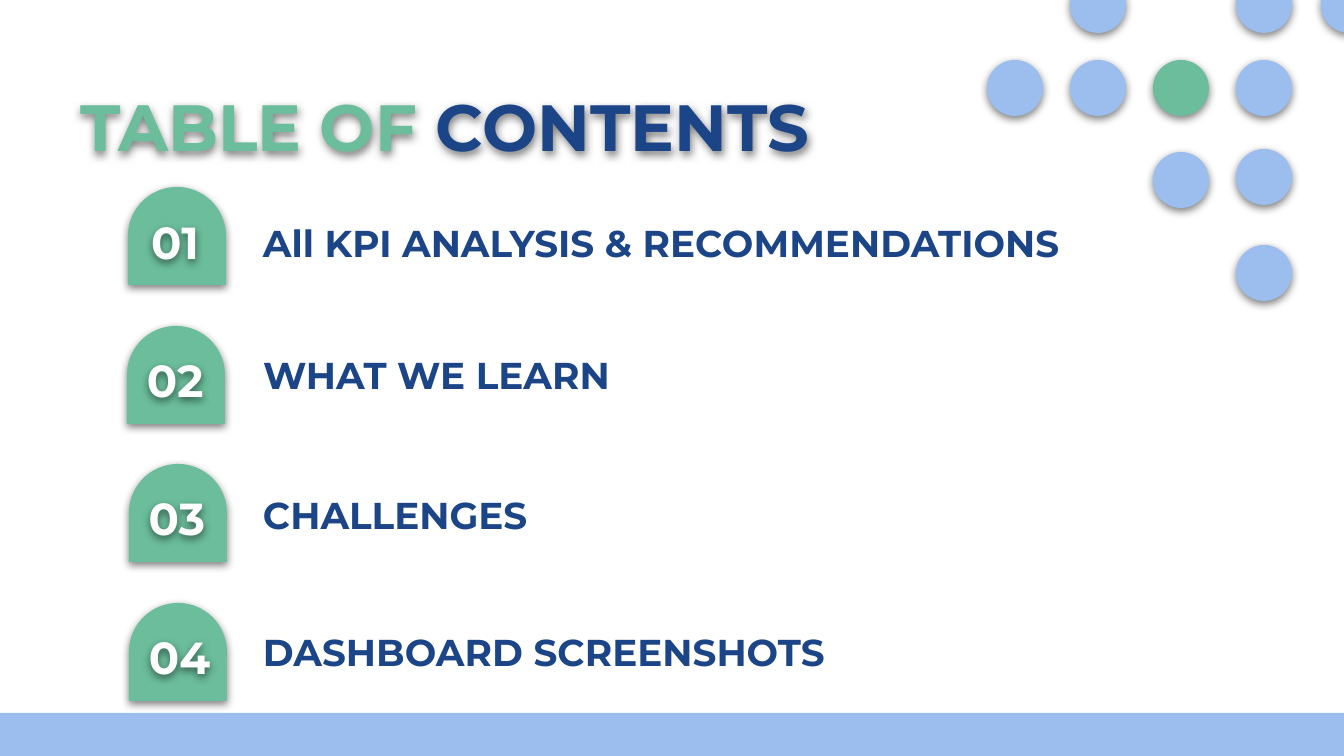
"""Build a table of contents slide with four numbered badges."""
from lxml.etree import SubElement
from pptx import Presentation
from pptx.dml.color import RGBColor
from pptx.enum.shapes import MSO_SHAPE as SHAPE
from pptx.enum.text import MSO_ANCHOR as ANCHOR, MSO_AUTO_SIZE as AUTO, PP_ALIGN as ALIGN
from pptx.oxml.ns import qn
from pptx.util import Pt

PX = 914400 / 134.4
FONT = "Montserrat"
GREEN, BLUE, NAVY, WHITE = "6BBD9B", "9BBEEE", "1C4587", "FFFFFF"


def px(*lengths):
    return [round(n * PX) for n in lengths]


def color(value):
    return RGBColor.from_string(value)


prs = Presentation()
prs.slide_width, prs.slide_height = px(1344, 756)
s = prs.slides.add_slide(prs.slide_layouts[5])
shadowed = []

title = s.shapes.title
title.left, title.top, title.width, title.height = px(67, 73, 804, 85)
shadowed.append(title)
tf = title.text_frame
tf.word_wrap = True
tf.auto_size = AUTO.NONE
tf.vertical_anchor = ANCHOR.TOP
tf.margin_left = tf.margin_right = tf.margin_top = tf.margin_bottom = px(13)[0]
p = tf.paragraphs[0]
p.alignment = ALIGN.LEFT
for text, fill in [("TABLE OF ", GREEN), ("CONTENTS", NAVY)]:
    r = p.add_run()
    r.text = text
    r.font.color.rgb = color(fill)
p.font.name, p.font.size, p.font.bold = FONT, Pt(35), True

shapes = [(SHAPE.RECTANGLE, (-1, 713, 1346, 44), BLUE)]
dot_rows = [
    (-23, [1070, 1236, 1321]),
    (60, [987, 1070, 1153, 1236]),
    (149, [1236]),
    (152, [1153]),
    (245, [1236]),
]
for y, columns in dot_rows:
    for x in columns:
        fill = GREEN if (x, y) == (1153, 60) else BLUE
        shapes.append((SHAPE.OVAL, (x, y, 56, 56), fill))
for i, x in enumerate([128, 127, 129, 129]):
    shapes.append((SHAPE.ROUND_2_SAME_RECTANGLE, (x, 187 + round(138.7 * i), 98, 98), GREEN))

for kind, box, fill in shapes:
    sp = s.shapes.add_shape(kind, *px(*box))
    sp.fill.solid()
    sp.fill.fore_color.rgb = color(fill)
    sp.line.fill.background()
    sp.shadow.inherit = False
    if kind == SHAPE.ROUND_2_SAME_RECTANGLE:
        sp.adjustments[0] = 0.5
    if kind != SHAPE.RECTANGLE:
        shadowed.append(sp)

texts = [
    ("01", (126, 198, 98, 87), ALIGN.CENTER),
    ("02", (134, 336, 85, 87), ALIGN.LEFT),
    ("03", (128, 474, 98, 87), ALIGN.CENTER),
    ("04", (136, 613, 91, 87), ALIGN.LEFT),
    ("All KPI ANALYSIS & RECOMMENDATIONS", (250, 194, 843, 98), ALIGN.LEFT),
    ("WHAT WE LEARN", (250, 326, 535, 98), ALIGN.LEFT),
    ("CHALLENGES", (250, 471, 343, 87), ALIGN.LEFT),
    ("DASHBOARD SCREENSHOTS", (250, 603, 737, 98), ALIGN.LEFT),
]
for text, box, align in texts:
    sp = s.shapes.add_textbox(*px(*box))
    tf = sp.text_frame
    tf.word_wrap = True
    tf.vertical_anchor = ANCHOR.MIDDLE
    tf.margin_left = tf.margin_right = tf.margin_top = tf.margin_bottom = px(13)[0]
    p = tf.paragraphs[0]
    p.text = text
    p.alignment = align
    number = text.isdigit()
    p.font.name, p.font.bold = FONT, True
    p.font.size = Pt(24 if number else 20)
    p.font.color.rgb = color(WHITE if number else NAVY)
    if number:
        shadowed.append(sp)

for sp in shadowed:
    sp.shadow.inherit = False
    effects = sp.element.spPr.find(qn("a:effectLst"))
    outer = SubElement(effects, qn("a:outerShdw"), blurRad=str(Pt(4.5)),
                       dist=str(Pt(1.5)), dir="5400000", algn="bl", rotWithShape="0")
    black = SubElement(outer, qn("a:srgbClr"), val="000000")
    SubElement(black, qn("a:alpha"), val="50000")

prs.save("out.pptx")
